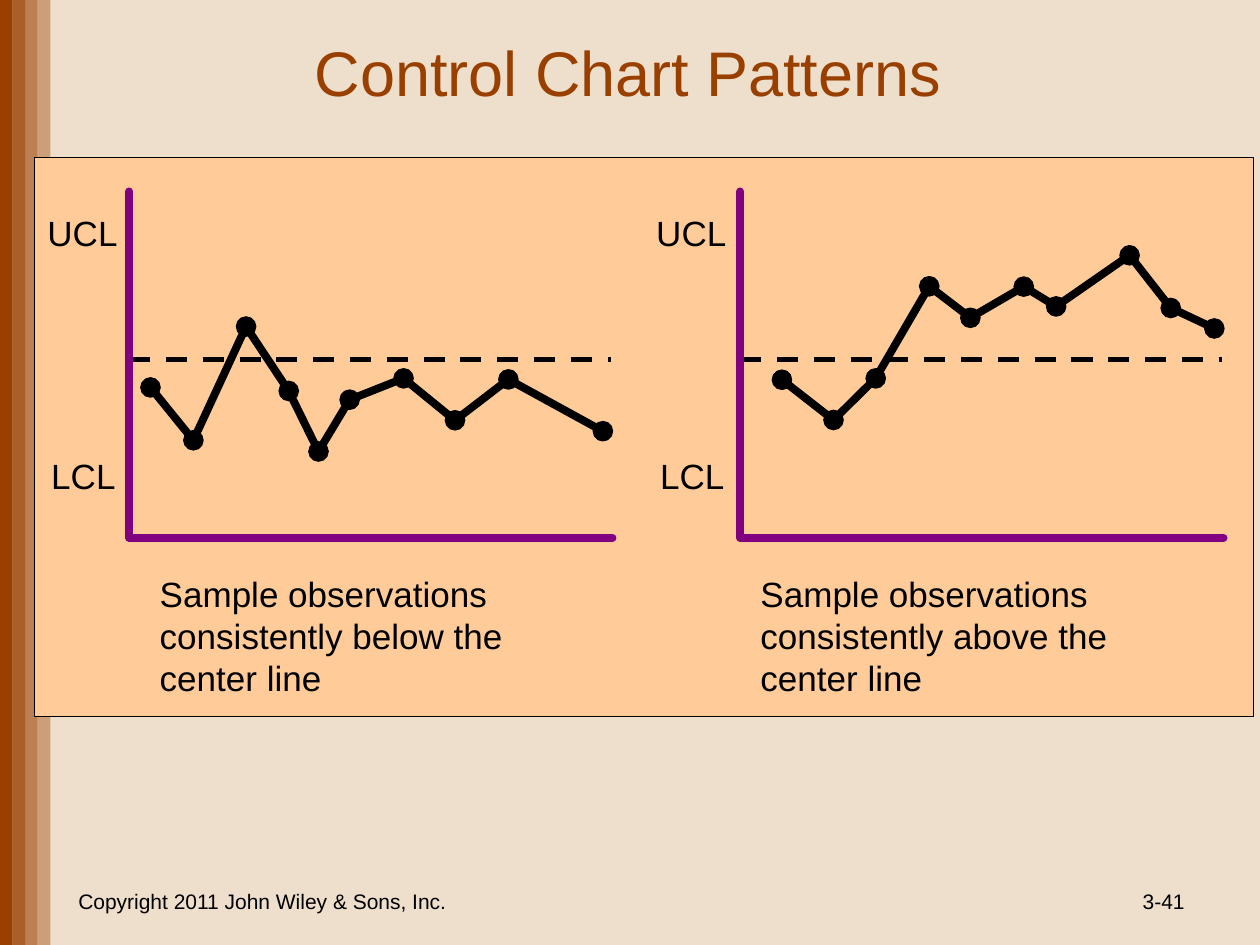
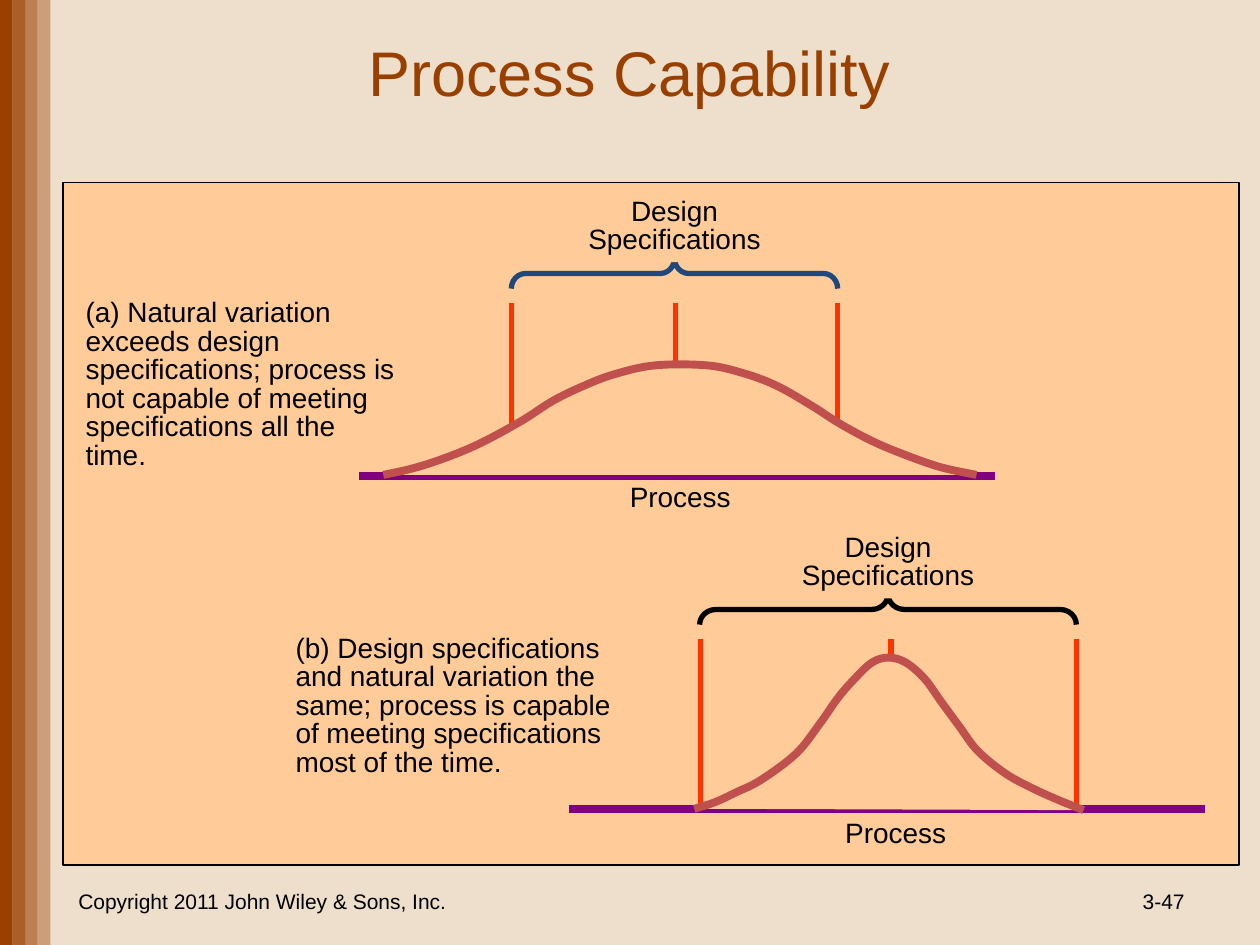
from dataclasses import dataclass

from lxml import etree
from pptx import Presentation
from pptx.dml.color import RGBColor
from pptx.enum import dml, shapes, text
from pptx.oxml.ns import qn
from pptx.util import Pt


@dataclass(frozen=True)
class Theme:
    font: str = "Arial"
    background: str = "EEDFCC"
    brown: str = "994000"
    panel: str = "FFCC99"
    ink: str = "000000"
    axis: str = "800080"
    limit: str = "FF3300"
    curve: str = "C0504D"
    navy: str = "1F497D"
    title_size: int = 36
    label_size: int = 20
    note_size: int = 16
    footer_size: int = 12


theme = Theme()
LEFT, CENTER, RIGHT = text.PP_ALIGN.LEFT, text.PP_ALIGN.CENTER, text.PP_ALIGN.RIGHT
TOP, MIDDLE = text.MSO_ANCHOR.TOP, text.MSO_ANCHOR.MIDDLE
RECTANGLE = shapes.MSO_SHAPE.RECTANGLE


def paint(shape, fill=None, line=None, width=1):
    """Set fill and outline, and remove the shadow."""
    if hasattr(shape, "fill"):
        if fill:
            shape.fill.solid()
            shape.fill.fore_color.rgb = RGBColor.from_string(fill)
        else:
            shape.fill.background()
    if line:
        shape.line.color.rgb = RGBColor.from_string(line)
        shape.line.width = Pt(width)
    else:
        shape.line.fill.background()
    etree.SubElement(shape._element.spPr, qn("a:effectLst"))
    return shape


def write(holder, words, size, align=LEFT, anchor=TOP, wrap=True, spacing=None,
          color=theme.ink):
    """Fill a shape or text box with formatted text."""
    frame = holder.text_frame
    frame.word_wrap = wrap
    frame.vertical_anchor = anchor
    frame.text = words
    for paragraph in frame.paragraphs:
        paragraph.alignment = align
        paragraph.line_spacing = spacing
        for run in paragraph.runs:
            run.font.name = theme.font
            run.font.size = Pt(size)
            run.font.color.rgb = RGBColor.from_string(color)


prs = Presentation()
prs.slide_width, prs.slide_height = Pt(720), Pt(540)
backdrop = prs.slide_master.background.fill
backdrop.solid()
backdrop.fore_color.rgb = RGBColor.from_string(theme.background)

# Frame of each slide: bands, title, footer, panel
pages = [
    ("Control Chart Patterns", (83.9, 12.2, 550, 57.6), "3-41", (19.9, 90, 696.4, 319.5)),
    ("Process Capability", (69.1, 10.8, 581, 59.8), "3-47", (36, 104.4, 672, 390)),
]
slides = []
for heading, heading_box, number, panel_box in pages:
    slide = prs.slides.add_slide(prs.slide_layouts[5])
    slides.append(slide)
    for step in range(4):
        band = paint(slide.shapes.add_shape(
            RECTANGLE, Pt(7.2 * step), 0, Pt(7.2), Pt(540)), theme.brown)
        tint = band._element.spPr.find(".//" + qn("a:srgbClr"))
        etree.SubElement(tint, qn("a:alpha"), val=str(100000 - 20000 * step))

    title = slide.shapes.title
    title.left, title.top, title.width, title.height = map(Pt, heading_box)
    write(title, heading, theme.title_size, CENTER, MIDDLE, color=theme.brown)

    for words, left, width, align in (
            ("Copyright 2011 John Wiley & Sons, Inc.", 36, 228, CENTER),
            (number, 516, 168, RIGHT)):
        footer = slide.shapes.add_textbox(Pt(left), Pt(500.4), Pt(width), Pt(28.8))
        write(footer, words, theme.footer_size, align, MIDDLE)
    paint(slide.shapes.add_shape(RECTANGLE, *map(Pt, panel_box)),
          theme.panel, theme.ink, 0.75)

patterns, capability = slides

# Control charts: axis x, label x, caption x and width, wrap, caption, observations
charts = [
    (73.8, 20, 84.2, 241.2, True,
     "Sample observations\nconsistently below the\ncenter line",
     [(86, 221.4), (110.5, 251.6), (140.6, 186.6), (165, 223.4), (182, 258),
      (199.8, 228.4), (230.6, 216.2), (260, 240.2), (290.5, 216.8), (344.5, 246.4)]),
    (423, 367.9, 427.5, 213.8, False,
     "Sample observations\nconsistently above the\ncenter line",
     [(446.8, 217), (476.3, 240), (500.4, 216.2), (531, 163.6), (554.5, 181.6),
      (585, 163.8), (603.5, 175.1), (645.5, 145.9), (669, 176), (693.9, 187.7)]),
]
DOT = 10.8
for axis_x, label_x, caption_x, caption_width, wrap, caption, observations in charts:
    for words, box, wraps in (
            ("UCL", (label_x, 117.4, 56.2, 31), False),
            ("LCL", (label_x + 2.2, 256.3, 51.8, 31), False),
            (caption, (caption_x, 323.6, caption_width, 80), wrap)):
        write(patterns.shapes.add_textbox(*map(Pt, box)), words, theme.label_size,
              wrap=wraps)

    center_line = patterns.shapes.add_connector(
        shapes.MSO_CONNECTOR.STRAIGHT, Pt(axis_x), Pt(205.4), Pt(axis_x + 275.4), Pt(205.4))
    paint(center_line, line=theme.ink, width=3)
    center_line.line.dash_style = dml.MSO_LINE.DASH

    axes = [(axis_x, 109.4), (axis_x, 307.4), (axis_x + 276.2, 307.4)]
    for corners, color in ((observations, theme.ink), (axes, theme.axis)):
        start, *rest = [(Pt(x), Pt(y)) for x, y in corners]
        builder = patterns.shapes.build_freeform(*start)
        builder.add_line_segments(rest, close=False)
        trace = paint(builder.convert_to_shape(), line=color, width=4.5)
        outline = trace.line._get_or_add_ln()
        outline.set("cap", "rnd")
        etree.SubElement(outline, qn("a:round"))

    for x, y in observations:
        paint(patterns.shapes.add_shape(
            shapes.MSO_SHAPE.OVAL, Pt(x - DOT / 2), Pt(y - DOT / 2), Pt(DOT), Pt(DOT)),
            theme.ink, theme.ink)

# Process capability: note, note box, top, middle, brace width, bend and color,
# limits, baseline, process label x, curve knots
cases = [
    ("(a) Natural variation exceeds design specifications; process is not capable of "
     "meeting specifications all the time.", (41.8, 167.8, 195.1, 105.8),
     109.6, 385.4, 186.5, 0.47, theme.navy, (292.1, 385.9, 478.6),
     (205.2, 568.8, 272.2), 352.8,
     [(219, 271.4), (235.4, 267.8), (253.4, 262.1), (274.3, 253.4), (298.1, 240.5),
      (316.1, 229), (334.1, 220.3), (351.4, 213.8), (374.4, 208.8), (403.9, 208.8),
      (424.1, 213.1), (443.5, 220.3), (463.7, 231.8), (479.5, 241.9), (498.2, 252),
      (517, 259.9), (537.8, 267.1), (558, 271.4)]),
    ("(b) Design specifications and natural variation the same; process is capable of "
     "meeting specifications most of the time.", (161.8, 359.5, 211, 89.3),
     301.6, 507.4, 215.3, 0.54, theme.ink, (400.3, 509.2, 615),
     (325.4, 688.5, 462.4), 475.9,
     [(396.7, 462.2), (408.2, 458.6), (420.5, 452.9), (434.9, 445.7), (455, 430.6),
      (468.7, 413.3), (478.8, 398.9), (488.2, 388.1), (498.2, 378.7), (507.6, 375.8),
      (517.7, 378.7), (528.5, 388.1), (537.8, 401), (547.9, 414.7), (558.7, 429.1),
      (574.6, 442.1), (590.4, 450.7), (604.8, 457.2), (619.2, 463)]),
]
BRACE = 17.3
for (note, note_box, top, middle, span, bend, brace_color, limits,
     (base_left, base_right, base_y), process_x, knots) in cases:
    for x in limits:
        paint(capability.shapes.add_connector(
            shapes.MSO_CONNECTOR.STRAIGHT, Pt(x), Pt(top + 63.4), Pt(x), Pt(top + 161.3)),
            line=theme.limit, width=3)

    # A left brace turned to point upwards
    brace = paint(capability.shapes.add_shape(
        shapes.MSO_SHAPE.LEFT_BRACE, Pt(middle - BRACE / 2), Pt(top + 46.7 - span / 2),
        Pt(BRACE), Pt(span)), theme.panel, brace_color, 3)
    brace.rotation = 90
    brace.adjustments[0] = bend

    # Note and labels on panel-coloured rectangles
    for words, box, align, anchor, wrap, spacing in (
            (note, note_box, LEFT, TOP, True, 0.85),
            ("Design Specifications", (middle - 62.6, top, 125.3, 40.3),
             CENTER, MIDDLE, True, 0.85),
            ("Process", (process_x, top + 160.9, 72.7, 26.6), LEFT, MIDDLE, False, None)):
        label = paint(capability.shapes.add_shape(RECTANGLE, *map(Pt, box)), theme.panel)
        write(label, words, theme.note_size, align, anchor, wrap, spacing)

    paint(capability.shapes.add_connector(
        shapes.MSO_CONNECTOR.STRAIGHT, Pt(base_left), Pt(base_y), Pt(base_right), Pt(base_y)),
        line=theme.axis, width=4.5)

    # Distribution curve: straight segments become Bezier curves (Catmull-Rom)
    builder = capability.shapes.build_freeform(*map(Pt, knots[0]))
    builder.add_line_segments([(Pt(x), Pt(y)) for x, y in knots[1:]], close=False)
    bell = paint(builder.convert_to_shape(), theme.panel, theme.curve, 4.5)
    outline_path = bell._element.spPr.find(".//" + qn("a:path"))
    spots = [(int(pt.get("x")), int(pt.get("y"))) for pt in outline_path.iter(qn("a:pt"))]
    padded = [spots[0], *spots, spots[-1]]
    for segment in outline_path.findall(qn("a:lnTo")):
        outline_path.remove(segment)
    for before, near, far, after in zip(padded, padded[1:], padded[2:], padded[3:]):
        curve = etree.SubElement(outline_path, qn("a:cubicBezTo"))
        leave = [n + (f - b) / 6 for b, n, f in zip(before, near, far)]
        arrive = [f - (a - n) / 6 for n, f, a in zip(near, far, after)]
        for x, y in (leave, arrive, far):
            etree.SubElement(curve, qn("a:pt"), x=str(round(x)), y=str(round(y)))

prs.save("out.pptx")
